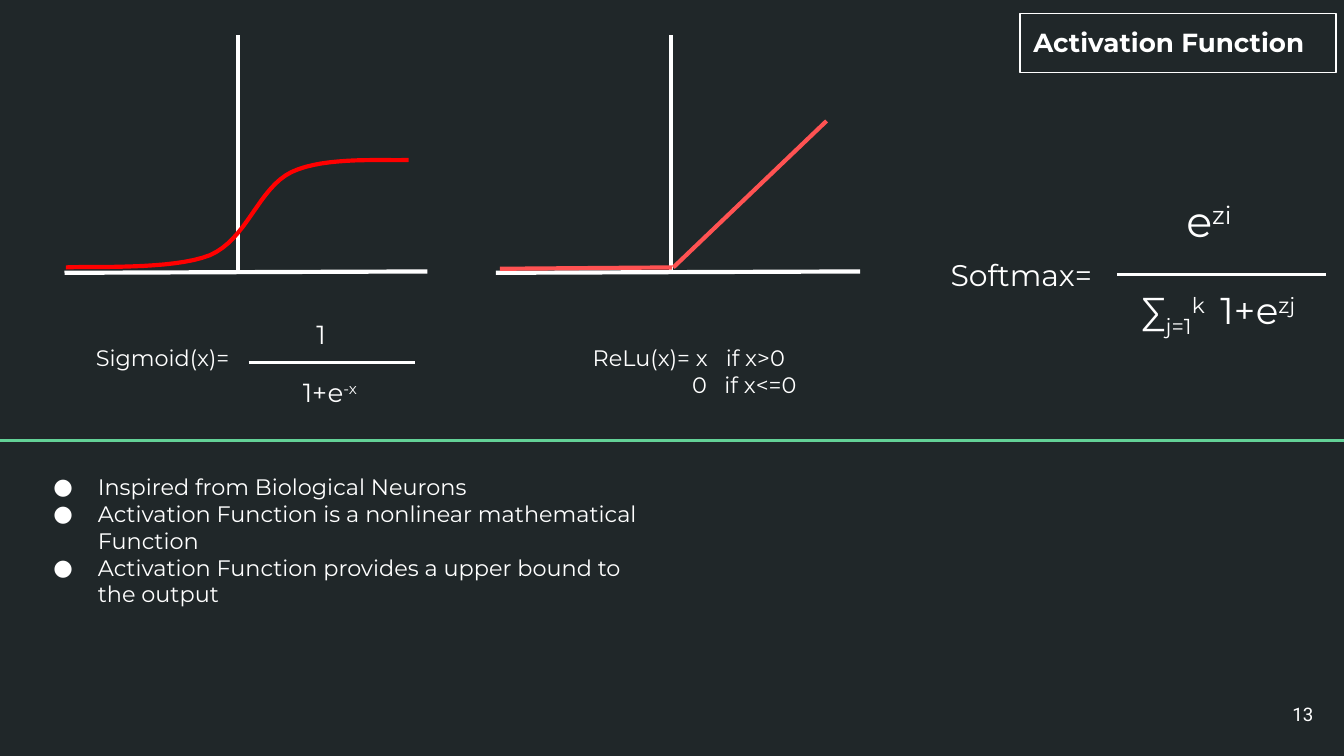
import pptx
import pptx.util
import pptx.dml.color
import pptx.enum.shapes
import pptx.enum.text
import pptx.oxml
import pptx.oxml.ns
import lxml.etree

Inches = pptx.util.Inches
Pt = pptx.util.Pt
qn = pptx.oxml.ns.qn
ALIGN = pptx.enum.text.PP_ALIGN
ANCHOR = pptx.enum.text.MSO_ANCHOR
COLORS = {"background": "202729", "white": "FFFFFF", "divider": "63D297",
          "sigmoid": "FF0000", "relu": "FF5252"}


def rgb(name):
    return pptx.dml.color.RGBColor.from_string(COLORS[name])


def write(text, at, size=12, font="Montserrat", bold=False, align=ALIGN.CENTER,
          bullets=False, tabs=None, inset=0.1, anchor=ANCHOR.TOP, border=None):
    """Add a text box; text is a list of paragraphs, each a list of (words, baseline %)."""
    place = [Inches(v) for v in at]
    if border:
        box = page.shapes.add_shape(pptx.enum.shapes.MSO_SHAPE.RECTANGLE, *place)
        box.shadow.inherit = False
        box.fill.background()
        box.line.color.rgb = rgb(border)
        box.line.width = Pt(0.75)
    else:
        box = page.shapes.add_textbox(*place)
    frame = box.text_frame
    frame.word_wrap = True
    frame.vertical_anchor = anchor
    frame.margin_left = Inches(inset)
    frame.margin_right = frame.margin_top = frame.margin_bottom = Inches(0.1)
    for number, spans in enumerate(text):
        para = frame.add_paragraph() if number else frame.paragraphs[0]
        para.alignment = align
        props = para._p.get_or_add_pPr()
        if bullets:
            props.set("marL", str(Inches(0.5)))
            props.set("indent", str(Inches(-0.33)))
            color = lxml.etree.SubElement(props, qn("a:buClr"))
            lxml.etree.SubElement(color, qn("a:srgbClr"), val=COLORS["white"])
            lxml.etree.SubElement(props, qn("a:buSzPts"), val=str(size * 100))
            lxml.etree.SubElement(props, qn("a:buFont"), typeface=font)
            lxml.etree.SubElement(props, qn("a:buChar"), char="●")
        if tabs:
            stops = lxml.etree.SubElement(props, qn("a:tabLst"))
            for stop in tabs[number]:
                lxml.etree.SubElement(stops, qn("a:tab"), pos=str(Inches(stop)), algn="l")
        for words, baseline in spans:
            span = para.add_run()
            span.text = words
            span.font.name = font
            span.font.size = Pt(size)
            span.font.bold = bold
            span.font.color.rgb = rgb("white")
            if baseline:
                span._r.get_or_add_rPr().set("baseline", str(baseline * 1000))


deck = pptx.Presentation()
deck.slide_width = Inches(10)
deck.slide_height = deck.slide_width * 9 // 16
page = deck.slides.add_slide(deck.slide_layouts[6])
page.background.fill.solid()
page.background.fill.fore_color.rgb = rgb("background")

# Divider, plot axes, ReLU graph and fraction bars
lines = [
    ((0, 3.28), (10, 3.28), "divider", 1.5),
    ((0.48, 2.03), (3.18, 2.02), "white", 2.25),
    ((1.77, 2.04), (1.77, 0.26), "white", 2.25),
    ((3.69, 2.03), (6.4, 2.02), "white", 2.25),
    ((4.99, 2.04), (4.99, 0.26), "white", 2.25),
    ((3.72, 2), (5, 1.99), "relu", 2.25),
    ((5.01, 1.99), (6.15, 0.9), "relu", 2.25),
    ((1.85, 2.7), (3.09, 2.7), "white", 1.5),
    ((8.31, 2.04), (9.87, 2.04), "white", 1.5),
]
for start, end, color, width in lines:
    line = page.shapes.add_connector(pptx.enum.shapes.MSO_CONNECTOR.STRAIGHT,
                                     *[Inches(v) for v in start + end])
    line.line.color.rgb = rgb(color)
    line.line.width = Pt(width)
    lxml.etree.SubElement(line._element.spPr, qn("a:effectLst"))

# Sigmoid graph: three Bezier segments sampled into short steps
knots = [(0.49, 1.99), (0.67, 1.98), (1.28, 2.01), (1.56, 1.9), (1.84, 1.78),
         (1.92, 1.4), (2.17, 1.28), (2.42, 1.16), (2.9, 1.2), (3.04, 1.19)]
STEPS = 16
points = []
for first in range(0, len(knots) - 1, 3):
    for step in range(1, STEPS + 1):
        t = step / STEPS
        weights = ((1 - t) ** 3, 3 * t * (1 - t) ** 2, 3 * t ** 2 * (1 - t), t ** 3)
        points.append(tuple(
            Inches(sum(w * knot[axis] for w, knot in zip(weights, knots[first:first + 4])))
            for axis in (0, 1)))
builder = page.shapes.build_freeform(*[Inches(v) for v in knots[0]])
builder.add_line_segments(points, close=False)
sigmoid = builder.convert_to_shape()
sigmoid.shadow.inherit = False
sigmoid.fill.background()
sigmoid.line.color.rgb = rgb("sigmoid")
sigmoid.line.width = Pt(2.25)

# Title, notes and page number
write([[("Activation Function", 0)]], (7.59, 0.1, 2.35, 0.44), size=14, bold=True,
      align=ALIGN.LEFT, border="white")
write([[("Inspired from Biological Neurons", 0)],
       [("Activation Function is a nonlinear mathematical Function", 0)],
       [("Activation Function provides a upper bound to the output", 0)]],
      (0.13, 3.42, 4.87, 1.21), align=ALIGN.LEFT, bullets=True)
write([[("13", 0)]], (9.27, 5.1, 0.6, 0.43), size=10, font="Roboto",
      align=ALIGN.RIGHT, anchor=ANCHOR.MIDDLE)

# Formulas
write([[("Sigmoid(x)=", 0)]], (0.57, 2.46, 1.28, 0.4))
write([[("1", 0)]], (2.13, 2.27, 0.52, 0.44), size=14)
write([[("1+e", 0), ("-x", 30)]], (1.85, 2.7, 1.21, 0.44), size=14)
write([[("ReLu(x)= x\tif x>0", 0)], [("\t0\tif x<=0", 0)]], (3.72, 2.46, 2.68, 0.61),
      align=ALIGN.LEFT, inset=0.69, tabs=[[0.99], [0.74, 0.98]])
write([[("Softmax=", 0)]], (6.91, 1.81, 1.38, 0.47), size=16)
write([[("e", 0), ("zi", 30)]], (8.67, 1.35, 0.65, 0.59), size=23)
write([[("∑", 0), ("j=1", -25), ("k ", 30), (" 1+e", 0), ("zj", 30)]],
      (8.31, 2.04, 1.51, 0.54), size=20)

deck.save("out.pptx")
